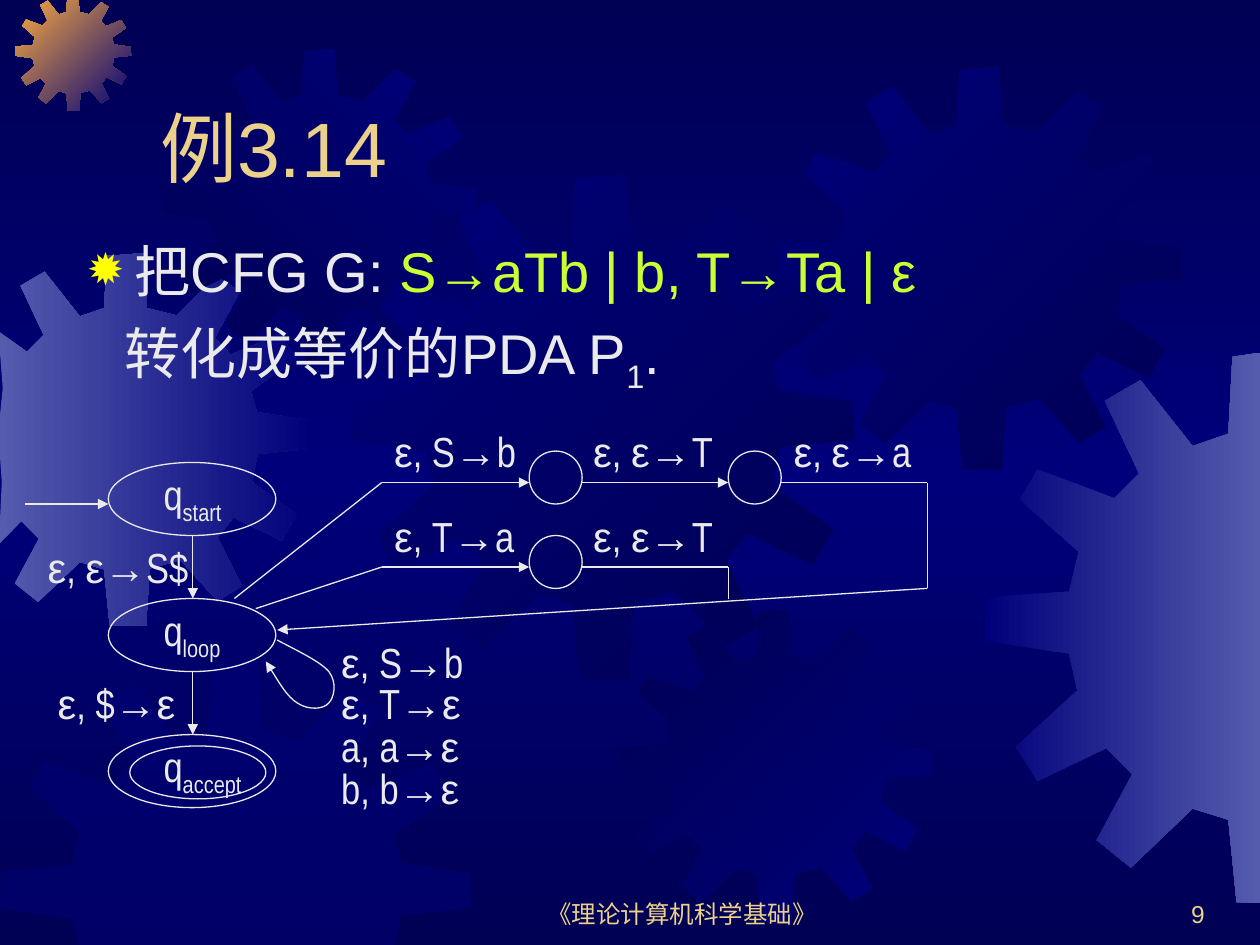
from copy import deepcopy
from itertools import groupby

from lxml import etree
from pptx import Presentation
from pptx.dml.color import RGBColor
from pptx.enum.shapes import MSO_CONNECTOR, MSO_SHAPE
from pptx.enum.text import MSO_ANCHOR, MSO_AUTO_SIZE, PP_ALIGN
from pptx.oxml.ns import qn
from pptx.util import Inches, Pt

OVAL = MSO_SHAPE.OVAL
STRAIGHT = MSO_CONNECTOR.STRAIGHT
TOP, BOTTOM = MSO_ANCHOR.TOP, MSO_ANCHOR.BOTTOM
LEFT, CENTER, RIGHT = PP_ALIGN.LEFT, PP_ALIGN.CENTER, PP_ALIGN.RIGHT
NO_FIT = MSO_AUTO_SIZE.NONE

NAVY = RGBColor(0x00, 0x00, 0x54)
BLUE = RGBColor(0x00, 0x00, 0x7A)
LAVENDER = RGBColor(0x55, 0x5B, 0xAD)
ORANGE = RGBColor(0xFC, 0xAB, 0x40)
GOLD = RGBColor(0xEB, 0xD1, 0x89)
LIGHT = RGBColor(0xEA, 0xEA, 0xEA)
LIME = RGBColor(0xCC, 0xFF, 0x33)

PAGE_WIDTH, PAGE_HEIGHT = 10, 7.5
GEAR_SPAN = 401
GEAR_POINTS = [
    (255, 67), (223, 59), (219, 0), (180, 3), (177, 59), (151, 68), (113, 20), (87, 35),
    (112, 88), (94, 106), (38, 85), (25, 107), (68, 145), (61, 174), (1, 178), (0, 210),
    (61, 219), (67, 246), (22, 287), (38, 312), (88, 288), (107, 307), (81, 355), (106, 375),
    (151, 332), (177, 340), (183, 400), (222, 401), (226, 339), (259, 330), (299, 374), (325, 358),
    (299, 306), (316, 284), (368, 309), (384, 281), (336, 246), (342, 216), (401, 210), (400, 180),
    (341, 171), (335, 148), (383, 114), (367, 87), (313, 109), (296, 91), (323, 41), (297, 25),
]
GEARS = [
    (-0.48, 2.01, 2.96, LAVENDER, BLUE, 0),
    (0.12, -0.04, 0.92, ORANGE, BLUE, 45),
    (1.3, 0.39, 2.48, NAVY, BLUE, 315),
    (2.77, 1.39, 4.01, BLUE, NAVY, 45),
    (0, 5.25, 3.74, BLUE, None, 0),
    (4.91, 4.84, 2.48, NAVY, BLUE, 45),
    (6.18, 0.53, 3.2, BLUE, NAVY, 45),
    (7.82, 2.8, 4.37, BLUE, LAVENDER, 0),
]
STATES = [("start", 3.67), ("loop", 4.75), ("accept", 5.83)]
OVALS = [(1.03, 5.92, 1.08, 0.42)] + [
    (left, top, 0.42, 0.42) for left, top in [(4.2, 3.58), (5.78, 3.58), (4.2, 4.25)]
]
LABELS = [
    ("ε, ε→S$", 0.28, 4.25), ("ε, $→ε", 0.36, 5.33),
    ("ε, S→b", 2.61, 5), ("ε, T→ε", 2.61, 5.33), ("a, a→ε", 2.61, 5.67), ("b, b→ε", 2.61, 6),
    ("ε, S→b", 3.03, 3.33), ("ε, ε→T", 4.61, 3.33), ("ε, ε→a", 6.2, 3.33),
    ("ε, T→a", 3.03, 4), ("ε, ε→T", 4.61, 4),
]
ARROWS = [
    (0.2, 4, 0.86, 4), (1.53, 4.25, 1.53, 4.75), (1.53, 5.33, 1.53, 5.83),
    (3.03, 3.83, 4.2, 3.83), (4.61, 3.83, 5.78, 3.83), (3.03, 4.5, 4.2, 4.5),
    (7.36, 4.67, 2.2, 5),
]
LINES = [
    (6.2, 3.83, 7.36, 3.83), (4.61, 4.5, 5.78, 4.5), (1.86, 4.75, 3.03, 3.83),
    (2.03, 4.83, 3.03, 4.5), (7.36, 3.83, 7.36, 4.67), (5.78, 4.5, 5.78, 4.75),
]
LOOP_CURVE = [
    (2.2, 5.08), (2.37, 5.17), (2.54, 5.25), (2.61, 5.33), (2.68, 5.42), (2.65, 5.54),
    (2.61, 5.58), (2.57, 5.63), (2.45, 5.64), (2.36, 5.58), (2.28, 5.53), (2.2, 5.39), (2.11, 5.25),
]


def set_values(target, values):
    for name, value in values.items():
        setattr(target, name, value)


def place(shape, left, top, width, height):
    sizes = {"left": left, "top": top, "width": width, "height": height}
    set_values(shape, {name: Inches(size) for name, size in sizes.items()})


def add_span(para, text, size, color, font="Arial", subscript=False):
    span = para.add_run()
    span.text = text
    set_values(span.font, {"size": Pt(size), "name": font})
    span.font.color.rgb = color
    if subscript:
        span._r.get_or_add_rPr().set("baseline", "-25000")


def add_box(page, left, top, width, height):
    box = page.shapes.add_textbox(*map(Inches, (left, top, width, height)))
    box.text_frame.word_wrap = True
    return box.text_frame


def set_gradient(fill, colors, angle):
    fill.gradient()
    fill.gradient_angle = (360 - angle) % 360
    for stop, color in zip(fill.gradient_stops, colors):
        stop.color.rgb = color


def set_background(page):
    set_gradient(page.background.fill, (NAVY, BLUE), 90)
    stops = page.element.find(".//" + qn("a:gsLst"))
    last = deepcopy(stops[0])
    last.set("pos", "100000")
    stops[1].set("pos", "50000")
    stops.append(last)


def add_outline(page, points, close):
    corners = [(Inches(x), Inches(y)) for x, y in points]
    builder = page.shapes.build_freeform(*corners[0])
    builder.add_line_segments(corners[1:], close=close)
    shape = builder.convert_to_shape()
    shape.shadow.inherit = False
    return shape


def add_gear(page, left, top, size, first, second, angle):
    scale = size / GEAR_SPAN
    points = [
        (min(max(left + x * scale, 0), PAGE_WIDTH), min(max(top + y * scale, 0), PAGE_HEIGHT))
        for x, y in GEAR_POINTS
    ]
    gear = add_outline(page, points, True)
    gear.line.fill.background()
    if second is None:
        gear.fill.solid()
        gear.fill.fore_color.rgb = first
        color = gear.element.spPr.find(".//" + qn("a:srgbClr"))
        etree.SubElement(color, qn("a:alpha"), val="50000")
    else:
        set_gradient(gear.fill, (first, second), angle)


def style_line(shape, arrow=False):
    shape.line.color.rgb = LIGHT
    shape.line.width = Pt(0.75)
    if arrow:
        line = shape.element.spPr.find(qn("a:ln"))
        etree.SubElement(line, qn("a:tailEnd"), type="triangle")


def add_line(page, ends, arrow):
    line = page.shapes.add_connector(STRAIGHT, *map(Inches, ends))
    style_line(line, arrow)
    etree.SubElement(line.element.spPr, qn("a:effectLst"))


def add_oval(page, bounds):
    oval = page.shapes.add_shape(OVAL, *map(Inches, bounds))
    oval.shadow.inherit = False
    oval.fill.background()
    style_line(oval)


def add_state(page, name, top):
    add_oval(page, (0.86, top, 1.33, 0.58))
    para = add_box(page, 1.2, top, 0.92, 0.56).paragraphs[0]
    add_span(para, "q", 24, LIGHT, "Arial Narrow")
    add_span(para, name, 24, LIGHT, "Arial Narrow", True)


def add_label(page, text, left, top):
    para = add_box(page, left, top, 1.5, 0.5).paragraphs[0]
    for narrow, letters in groupby(text, str.isascii):
        add_span(para, "".join(letters), 24, LIGHT, "Arial Narrow" if narrow else "Arial")


def add_loop(page):
    loop = add_outline(page, LOOP_CURVE, False)
    loop.fill.background()
    style_line(loop, True)
    outline = loop.element.spPr.find(".//" + qn("a:path"))
    steps = outline.findall(qn("a:lnTo"))
    for start in range(0, len(steps), 3):
        curve = etree.SubElement(outline, qn("a:cubicBezTo"))
        for step in steps[start:start + 3]:
            curve.append(step[0])
            outline.remove(step)


def add_footer(page, text, left, width, align):
    frame = add_box(page, left, 6.92, width, 0.5)
    frame.vertical_anchor = BOTTOM
    frame.paragraphs[0].alignment = align
    add_span(frame.paragraphs[0], text, 14, GOLD)


def fill_title(title):
    place(title, 1.17, 0.33, 8.5, 1.25)
    set_values(title.text_frame, {"vertical_anchor": BOTTOM, "auto_size": NO_FIT})
    para = title.text_frame.paragraphs[0]
    para.alignment = LEFT
    add_span(para, "例3.14", 44, GOLD)


def set_bullet(para, margin, indent, symbol=None):
    props = para._p.get_or_add_pPr()
    props.set("marL", str(Inches(margin)))
    props.set("indent", str(Inches(indent)))
    if symbol is None:
        etree.SubElement(props, qn("a:buNone"))
        return
    color = etree.SubElement(props, qn("a:buClr"))
    etree.SubElement(color, qn("a:srgbClr"), val="FFFF00")
    etree.SubElement(props, qn("a:buSzPct"), val="80000")
    etree.SubElement(props, qn("a:buChar"), char=symbol)


def fill_body(body):
    place(body, 0.59, 1.83, 8.5, 1.42)
    frame = body.text_frame
    set_values(frame, {"vertical_anchor": TOP, "auto_size": NO_FIT})
    grammar, goal = frame.paragraphs[0], frame.add_paragraph()
    set_bullet(grammar, 0.38, -0.38, "✹")
    set_bullet(goal, 0.3, 0)
    grammar.space_before, goal.space_before = Pt(0), Pt(8)
    add_span(grammar, "把CFG G: ", 32, LIGHT)
    add_span(grammar, "S→aTb | b, T→Ta | ε", 32, LIME)
    add_span(goal, "转化成等价的PDA P", 32, LIGHT)
    add_span(goal, "1", 32, LIGHT, subscript=True)
    add_span(goal, ".", 32, LIGHT)


def main():
    deck = Presentation()
    deck.slide_width, deck.slide_height = Inches(PAGE_WIDTH), Inches(PAGE_HEIGHT)
    page = deck.slides.add_slide(deck.slide_layouts[1])
    title, body = page.placeholders
    set_background(page)
    for gear in GEARS:
        add_gear(page, *gear)
    for holder in (title, body):
        page.shapes.element.append(holder.element)
    fill_title(title)
    fill_body(body)
    add_footer(page, "《理论计算机科学基础》", 3.83, 3.17, CENTER)
    add_footer(page, "9", 7.58, 2.08, RIGHT)
    for state in STATES:
        add_state(page, *state)
    for bounds in OVALS:
        add_oval(page, bounds)
    for label in LABELS:
        add_label(page, *label)
    for ends in ARROWS:
        add_line(page, ends, True)
    for ends in LINES:
        add_line(page, ends, False)
    add_loop(page)
    deck.save("out.pptx")


if __name__ == "__main__":
    main()
